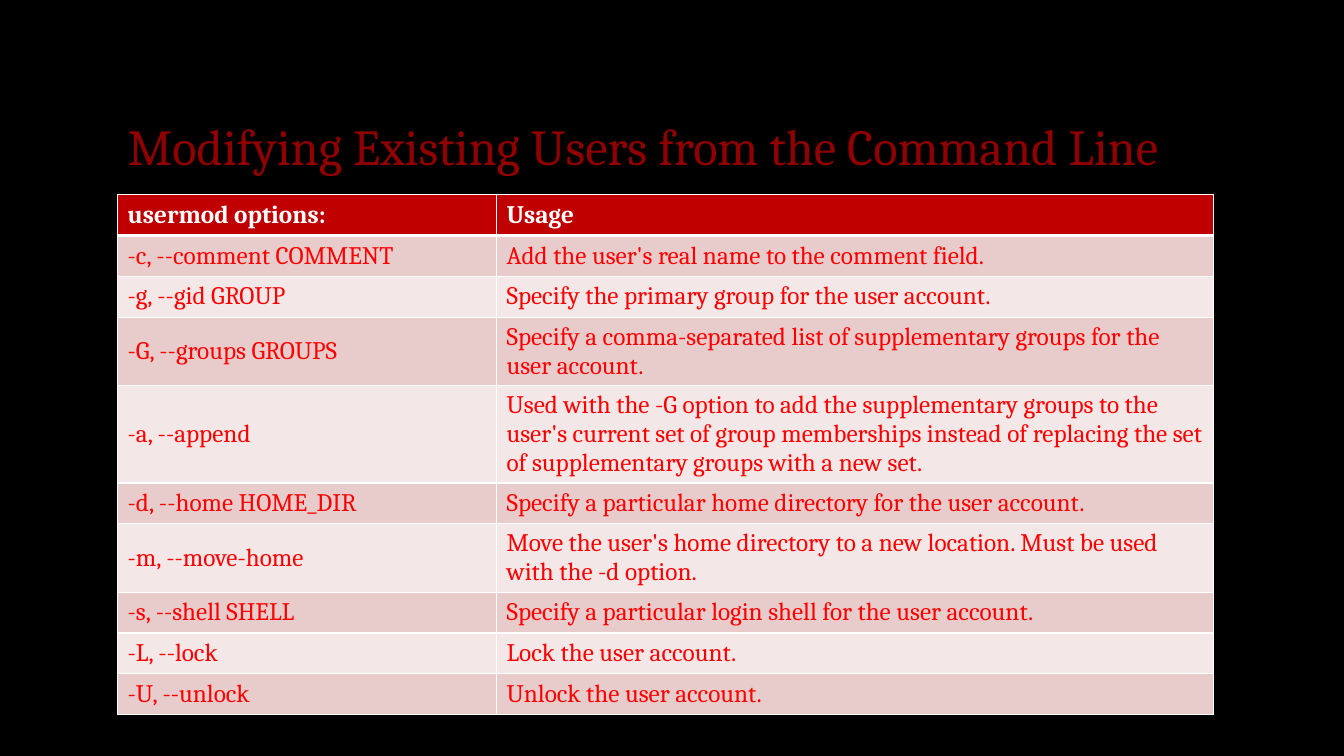
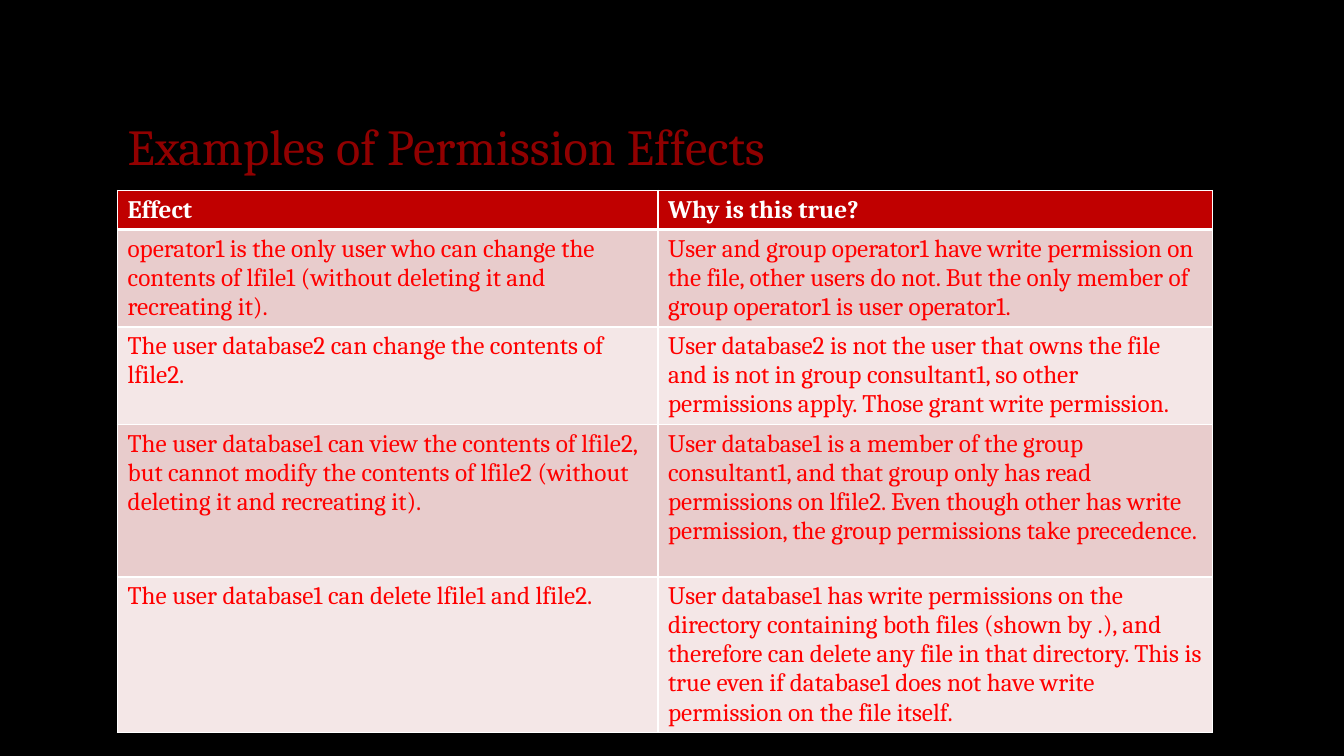
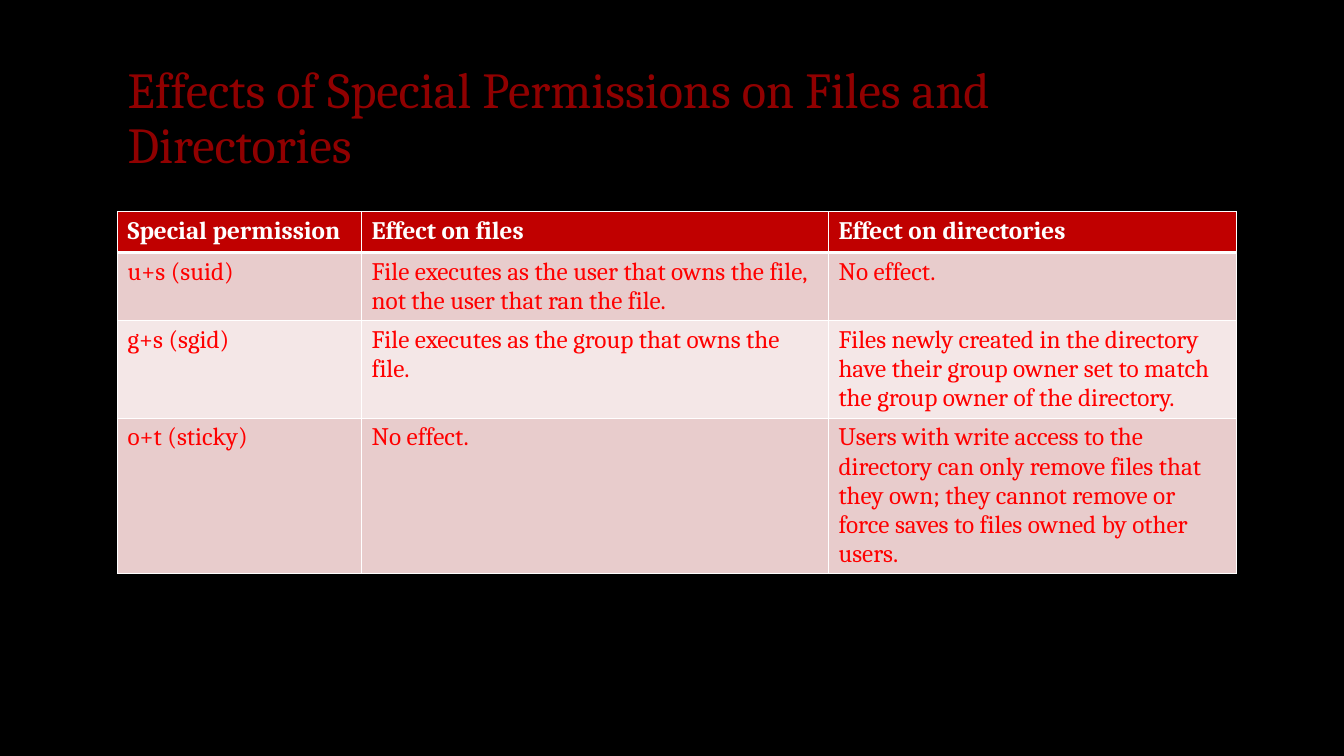
from pptx import Presentation
from pptx.dml.color import RGBColor
from pptx.enum.text import MSO_ANCHOR, MSO_AUTO_SIZE, PP_ALIGN
from pptx.oxml.ns import qn
from pptx.util import Pt
from lxml import etree

TOP, MIDDLE, BOTTOM = MSO_ANCHOR.TOP, MSO_ANCHOR.MIDDLE, MSO_ANCHOR.BOTTOM
LEFT = PP_ALIGN.LEFT
NO_FIT = MSO_AUTO_SIZE.NONE

BLACK = RGBColor(0x00, 0x00, 0x00)
WHITE = RGBColor(0xFF, 0xFF, 0xFF)
DARK_RED = RGBColor(0x90, 0x00, 0x00)
HEADER_RED = RGBColor(0xC0, 0x00, 0x00)
TEXT_RED = RGBColor(0xFF, 0x00, 0x00)
BANDS = (RGBColor(0xE8, 0xCC, 0xCC), RGBColor(0xF4, 0xE7, 0xE7))

FONT = "Cambria"
MARGIN = 84  # left edge of titles and tables
TITLE_ONLY = 5
THIN, THICK = 1, 3

USERMOD = [
    ("usermod options:", "Usage"),
    ("-c, --comment COMMENT", "Add the user's real name to the comment field."),
    ("-g, --gid GROUP", "Specify the primary group for the user account."),
    ("-G, --groups GROUPS",
     "Specify a comma-separated list of supplementary groups for the user account."),
    ("-a, --append",
     "Used with the -G option to add the supplementary groups to the user's current set of "
     "group memberships instead of replacing the set of supplementary groups with a new set."),
    ("-d, --home HOME_DIR", "Specify a particular home directory for the user account."),
    ("-m, --move-home",
     "Move the user's home directory to a new location. Must be used with the -d option."),
    ("-s, --shell SHELL", "Specify a particular login shell for the user account."),
    ("-L, --lock", "Lock the user account."),
    ("-U, --unlock", "Unlock the user account."),
]

EXAMPLES = [
    ("Effect", "Why is this true?"),
    ("operator1 is the only user who can change the contents of lfile1 "
     "(without deleting it and recreating it).",
     "User and group operator1 have write permission on the file, other users do not. "
     "But the only member of group operator1 is user operator1."),
    ("The user database2 can change the contents of lfile2.",
     "User database2 is not the user that owns the file and is not in group consultant1, "
     "so other permissions apply. Those grant write permission."),
    ("The user database1 can view the contents of lfile2, but cannot modify the contents "
     "of lfile2 (without deleting it and recreating it).",
     "User database1 is a member of the group consultant1, and that group only has read "
     "permissions on lfile2. Even though other has write permission, the group permissions "
     "take precedence."),
    ("The user database1 can delete lfile1 and lfile2.",
     "User database1 has write permissions on the directory containing both files "
     "(shown by .), and therefore can delete any file in that directory. This is true even "
     "if database1 does not have write permission on the file itself."),
]

SPECIAL = [
    ("Special permission", "Effect on files", "Effect on directories"),
    ("u+s (suid)",
     "File executes as the user that owns the file, not the user that ran the file.",
     "No effect."),
    ("g+s (sgid)", "File executes as the group that owns the file.",
     "Files newly created in the directory have their group owner set to match the group "
     "owner of the directory."),
    ("o+t (sticky)", "No effect.",
     "Users with write access to the directory can only remove files that they own; they "
     "cannot remove or force saves to files owned by other users."),
]


def set_font(p, size, color, bold=False):
    p.font.name = FONT
    p.font.size = Pt(size)
    p.font.color.rgb = color
    p.font.bold = bold


def set_borders(cell, top, bottom):
    tc_pr = cell._tc.get_or_add_tcPr()
    for side, width in (("L", THIN), ("R", THIN), ("T", top), ("B", bottom)):
        ln = etree.SubElement(tc_pr, qn("a:ln" + side), w=str(Pt(width)))
        fill = etree.SubElement(ln, qn("a:solidFill"))
        etree.SubElement(fill, qn("a:srgbClr"), val=str(WHITE))


def add_title(s, text, top):
    title = s.shapes.title
    title.left, title.top, title.width, title.height = (
        Pt(v) for v in (MARGIN, top, 792, 93.6))
    tf = title.text_frame
    tf.text = text
    tf.word_wrap = True
    tf.auto_size = NO_FIT
    tf.vertical_anchor = BOTTOM
    p = tf.paragraphs[0]
    p.alignment = LEFT
    p.line_spacing = 0.9
    set_font(p, 36, DARK_RED)


def add_banded_table(s, rows, top, widths, heights, anchor):
    frame = s.shapes.add_table(len(rows), len(widths), Pt(MARGIN), Pt(top),
                               Pt(sum(widths)), Pt(sum(heights)))
    table = frame.table
    for column, width in zip(table.columns, widths):
        column.width = Pt(width)
    for i, (texts, height) in enumerate(zip(rows, heights)):
        header = i == 0
        table.rows[i].height = Pt(height)
        for j, text in enumerate(texts):
            cell = table.cell(i, j)
            # The rule under the header belongs to both rows it touches
            set_borders(cell, THICK if i == 1 else THIN, THICK if header else THIN)
            cell.fill.solid()
            cell.fill.fore_color.rgb = HEADER_RED if header else BANDS[(i - 1) % 2]
            cell.vertical_anchor = anchor
            cell.text = text
            set_font(cell.text_frame.paragraphs[0], 18,
                     WHITE if header else TEXT_RED, header)


def add_table_slide(prs, title, rows, top, widths, heights, anchor=TOP, title_top=36):
    s = prs.slides.add_slide(prs.slide_layouts[TITLE_ONLY])
    add_title(s, title, title_top)
    add_banded_table(s, rows, top, widths, heights, anchor)


def main():
    prs = Presentation()
    prs.slide_width, prs.slide_height = Pt(960), Pt(540)

    # Shared black background
    background = prs.slide_master.background.fill
    background.solid()
    background.fore_color.rgb = BLACK

    # Rows given the one-line height grow with their text
    line = 29.2
    add_table_slide(prs, "Modifying Existing Users from the Command Line", USERMOD,
                    139, (270.7, 512), [line] * len(USERMOD), anchor=MIDDLE)
    add_table_slide(prs, "Examples of Permission Effects", EXAMPLES,
                    136, (386, 396), (27.7, 68.4, 68.4, 109, 109))
    add_table_slide(prs, "Effects of Special Permissions on Files and Directories", SPECIAL,
                    151.2, (174.3, 333.5, 291.2), [line] * len(SPECIAL), title_top=34.5)

    prs.save("out.pptx")


if __name__ == "__main__":
    main()
